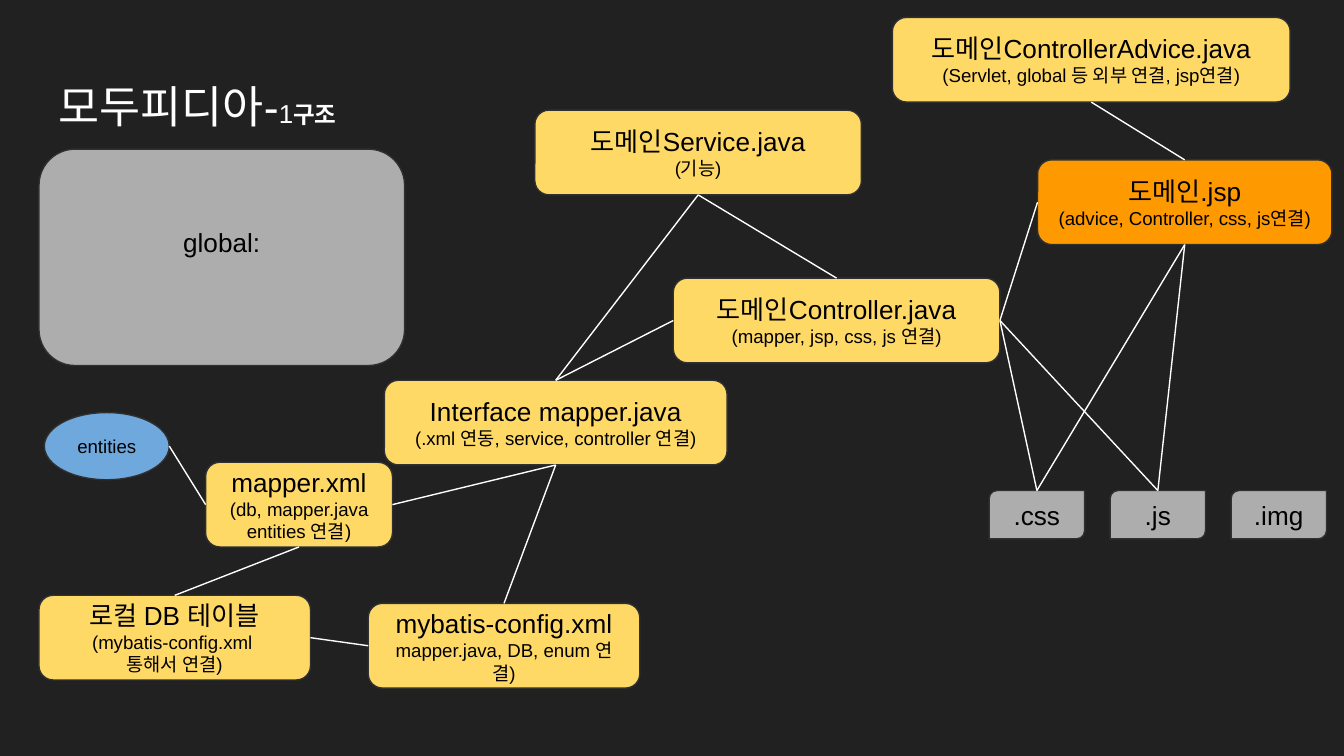
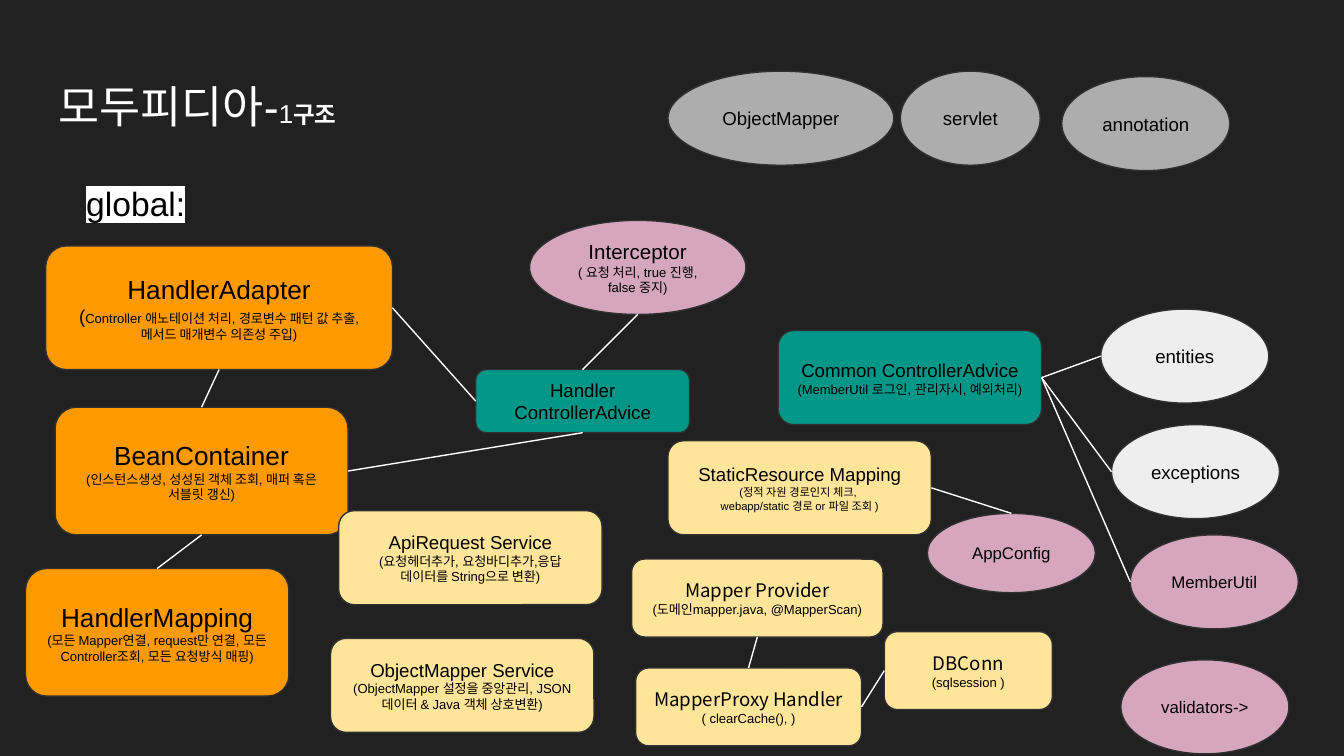
from dataclasses import dataclass
from lxml.etree import SubElement as Sub
from pptx import Presentation as Deck
from pptx.dml.color import RGBColor as RGB
from pptx.enum.shapes import MSO_CONNECTOR as Wire, MSO_SHAPE as Form
from pptx.enum.text import MSO_ANCHOR as Anchor, PP_ALIGN as Align
from pptx.oxml.ns import qn
from pptx.util import Inches, Pt

TOP, LEFT, BOTTOM, RIGHT = range(4)


@dataclass(frozen=True)
class Theme:
    """Hold the colours, fonts and type sizes of both slides."""
    back: str = "212121"
    ink: str = "000000"
    light: str = "FFFFFF"
    edge: str = "303030"
    gold: str = "FFD966"
    cream: str = "FFE599"
    orange: str = "FF9900"
    teal: str = "009688"
    grey: str = "ADADAD"
    pale: str = "EEEEEE"
    pink: str = "D5A6BD"
    blue: str = "6FA8DC"
    font: str = "Arial"
    cjk: str = "Noto Sans CJK KR"
    title: float = 23.9
    count: float = 13.9
    suffix: float = 12.6
    lead: float = 18
    head: float = 14
    mid: float = 11
    body: float = 10
    minor: float = 9
    note: float = 7
    tiny: float = 6
    rule: float = 0.75


T = Theme()


def write(frame, paras, align=Align.CENTER, anchor=Anchor.MIDDLE,
          color=T.ink, mark=None, side=0.1, foot=0.1):
    """Fill a text frame with paragraphs of (text, size, font, bold) runs."""
    frame.word_wrap = True
    frame.vertical_anchor = anchor
    frame.margin_left = frame.margin_right = Inches(side)
    frame.margin_top, frame.margin_bottom = Inches(0.1), Inches(foot)
    for num, runs in enumerate(paras):
        para = frame.add_paragraph() if num else frame.paragraphs[0]
        para.alignment = align
        for text, size, *more in runs:
            run = para.add_run()
            run.text = text
            font = run.font
            font.size = Pt(size)
            font.color.rgb = RGB.from_string(color)
            if mark:
                glow = Sub(run._r.get_or_add_rPr(), qn("a:highlight"))
                Sub(glow, qn("a:srgbClr")).set("val", mark)
            font.name = more[0] if more else T.font
            if more[1:]:
                font.bold = more[1]


def place(box, x, y, w, h):
    """Turn a place inside a box into lengths on the slide."""
    return [Inches(v) for v in (box[0] + x, box[1] + y, w, h)]


def node(shapes, box, spot, form, fill, paras, **look):
    """Draw one filled and outlined shape with its text."""
    shape = shapes.add_shape(form, *place(box, *spot))
    shape.shadow.inherit = False
    shape.fill.solid()
    shape.fill.fore_color.rgb = RGB.from_string(fill)
    shape.line.color.rgb = RGB.from_string(T.edge)
    shape.line.width = Pt(T.rule)
    write(shape.text_frame, paras, **look)
    return shape


def card(shapes, box, spot, fill, head, *notes, size=T.head, small=T.body,
         font=T.font, **look):
    """Draw a rounded card with a heading and smaller notes."""
    paras = [[(head, size, font)]] + [
        note if isinstance(note, list) else [(note, small)] for note in notes]
    return node(shapes, box, spot, Form.ROUNDED_RECTANGLE, fill, paras, **look)


def oval(shapes, box, spot, fill, text, *notes, size=T.body, form=Form.OVAL):
    """Draw an ellipse with a label and small notes."""
    paras = [[(text, size)]] + [[(note, T.note)] for note in notes]
    return node(shapes, box, spot, form, fill, paras)


def point(shape, side):
    """Find the middle of one side of a shape."""
    x = shape.left + (1, 0, 1, 2)[side] * shape.width // 2
    y = shape.top + (0, 1, 2, 1)[side] * shape.height // 2
    return x, y


def link(shapes, start, out, end, into):
    """Draw a straight line between the sides of two shapes."""
    line = shapes.add_connector(Wire.STRAIGHT, *point(start, out), *point(end, into))
    line.line.color.rgb = RGB.from_string(T.light)
    line.line.width = Pt(T.rule)
    Sub(line._element.spPr, qn("a:effectLst"))
    for shape, side, join in ((start, out, line.begin_connect),
                              (end, into, line.end_connect)):
        if shape.auto_shape_type == Form.ROUNDED_RECTANGLE:
            join(shape, side)


def wire(shapes, parts, links):
    """Draw every line of a list of named ends."""
    for start, out, end, into in links:
        link(shapes, parts[start], out, parts[end], into)


def label(shapes, box, runs, **look):
    """Place free text in a box."""
    area = shapes.add_textbox(*place((0, 0), *box))
    write(area.text_frame, [runs], anchor=Anchor.TOP, **look)


def page(deck):
    """Add a dark slide with the shared title."""
    slide = deck.slides.add_slide(deck.slide_layouts[6])
    slide.background.fill.solid()
    slide.background.fill.fore_color.rgb = RGB.from_string(T.back)
    label(slide.shapes, (0.34, 0.49, 9.32, 0.63),
          [("모두피디아-", T.title), ("1", T.count), ("구조", T.suffix, T.font, True)],
          align=Align.LEFT, color=T.light)
    return slide.shapes


def tabs(shapes, box):
    """Draw the row of static file types as a group."""
    group = shapes.add_group_shape().shapes
    return {name: node(group, box, (0.9 * num, 0, 0.71, 0.36),
                       Form.ROUND_2_DIAG_RECTANGLE, T.grey, [[(name, T.head)]])
            for num, name in enumerate((".css", ".js", ".img"))}


def domain(shapes, box):
    """Draw the files of one domain and their links."""
    tall = 0.63
    cards = {
        "xml": (1.53, 3.44, 1.39, T.gold, "mapper.xml",
                "(db, mapper.java entities 연결)"),
        "table": (0.29, 4.43, 2.02, T.gold, "로컬 DB 테이블",
                  "(mybatis-config.xml ", "통해서 연결)"),
        "mapper": (2.86, 2.83, 2.55, T.gold, "Interface mapper.java",
                   "(.xml 연동, service, controller 연결)"),
        "jsp": (7.72, 1.19, 2.19, T.orange, "도메인.jsp",
                "(advice, Controller, css, js연결)"),
        "control": (5.01, 2.07, 2.43, T.gold, "도메인Controller.java",
                    "(mapper, jsp, css, js 연결)"),
        "advice": (6.64, 0.13, 2.96, T.gold, "도메인ControllerAdvice.java",
                   "(Servlet, global 등 외부 연결, jsp연결)"),
        "service": (3.98, 0.82, 2.43, T.gold, "도메인Service.java", "(기능)"),
        "config": (2.74, 4.49, 2.02, T.gold, "mybatis-config.xml",
                   "mapper.java, DB, enum 연결)"),
    }
    parts = {key: card(shapes, box, (x, y, w, tall), *rest)
             for key, (x, y, w, *rest) in cards.items()}
    parts.update(tabs(shapes, (box[0] + 7.36, box[1] + 3.65)))
    card(shapes, box, (0.29, 1.11, 2.72, 1.61), T.grey, "global:", foot=0.32)
    parts["entity"] = oval(shapes, box, (0.33, 3.07, 0.93, 0.5), T.blue,
                           "entities", form=Form.FLOWCHART_CONNECTOR)
    wire(shapes, parts, [
        (".css", TOP, "control", RIGHT), (".css", TOP, "jsp", BOTTOM),
        (".js", TOP, "jsp", BOTTOM), (".js", TOP, "control", RIGHT),
        ("control", RIGHT, "jsp", LEFT), ("service", BOTTOM, "control", TOP),
        ("advice", BOTTOM, "jsp", TOP), ("control", LEFT, "mapper", TOP),
        ("service", BOTTOM, "mapper", TOP), ("mapper", BOTTOM, "xml", RIGHT),
        ("xml", LEFT, "entity", RIGHT), ("table", TOP, "xml", BOTTOM),
        ("table", RIGHT, "config", LEFT), ("config", TOP, "mapper", BOTTOM),
    ])


def common(shapes, box):
    """Draw the parts of the global package and their links."""
    label(shapes, (box[0] + 0.34, box[1] + 1.26, 1.34, 0.47),
          [("global:", T.lead)], mark=T.light)
    cores = {
        "bean": ((0.41, 3.03, 2.18, 0.95), "BeanContainer",
                 "(인스턴스생성, 성성된 객체 조회, 매퍼 혹은 서블릿 갱신)"),
        "adapter": ((0.34, 1.83, 2.58, 0.92), "HandlerAdapter",
                    [("(", T.body), ("Controller 애노테이션 처리, 경로변수 패턴 값 추출, "
                                     "메서드 매개변수 의존성 주입)", T.note)]),
        "mapping": ((0.19, 4.23, 1.96, 0.95), "HandlerMapping",
                    "(모든 Mapper연결, request만 연결, 모든 Controller조회, "
                    "모든 요청방식 매핑)"),
    }
    cards = {
        "handler": ((3.54, 2.75, 1.59, 0.47), T.teal, "Handler ControllerAdvice"),
        "advice": ((5.79, 2.46, 1.96, 0.7), T.teal, "Common ControllerAdvice",
                   "(MemberUtil 로그인, 관리자시, 예외처리)"),
        "api": ((2.52, 3.8, 1.96, 0.7), T.cream, "ApiRequest Service",
                "(요청헤더추가, 요청바디추가,응답 데이터를 String으로 변환)"),
    }
    stores = {
        "maker": ((4.7, 4.16, 1.87, 0.58), "Mapper Provider",
                  "(도메인mapper.java, @MapperScan)"),
        "proxy": ((4.73, 4.97, 1.68, 0.58), "MapperProxy Handler", "( clearCache(), )"),
        "conn": ((6.58, 4.7, 1.25, 0.58), "DBConn", "(sqlsession )"),
    }
    parts = {key: card(shapes, box, spot, T.orange, *text, small=T.note)
             for key, (spot, *text) in cores.items()}
    parts |= {key: card(shapes, box, *rest, size=T.body, small=T.note)
              for key, rest in cards.items()}
    card(shapes, box, (2.46, 4.75, 1.96, 0.7), T.cream, "ObjectMapper Service",
         "(ObjectMapper 설정을 중앙관리, JSON 데이터 & Java 객체 상호변환)",
         size=T.body, small=T.note, side=0.13)
    parts["static"] = card(shapes, box, (4.97, 3.28, 1.96, 0.7), T.cream,
                           "StaticResource Mapping", "(정적 자원 경로인지 체크, ",
                           "webapp/static 경로 or 파일 조회 )",
                           size=T.body, small=T.tiny)
    parts |= {key: card(shapes, box, spot, T.cream, *text, size=T.body,
                        small=T.note, font=T.cjk)
              for key, (spot, *text) in stores.items()}
    for x, y, w, text in ((6.7, 0.53, 1.04, "servlet"), (7.9, 0.57, 1.25, "annotation"),
                          (4.97, 0.53, 1.68, "ObjectMapper")):
        oval(shapes, box, (x, y, w, 0.7), T.grey, text)
    for x, y, h, fill, text, size in (
            (8.19, 2.3, 0.7, T.pale, "entities", T.body),
            (8.27, 3.16, 0.7, T.pale, "exceptions", T.body),
            (8.41, 3.98, 0.7, T.pink, "MemberUtil", T.minor),
            (8.34, 4.91, 0.7, T.pink, "validators->", T.minor),
            (6.9, 3.82, 0.59, T.pink, "AppConfig", T.minor)):
        parts[text] = oval(shapes, box, (x, y, 1.25, h), fill, text, size=size)
    parts["filter"] = oval(shapes, box, (3.94, 1.64, 1.61, 0.7), T.pink, "Interceptor",
                           "( 요청 처리, true 진행, false 중지)", size=T.mid)
    wire(shapes, parts, [
        ("bean", BOTTOM, "mapping", TOP), ("adapter", BOTTOM, "bean", TOP),
        ("adapter", RIGHT, "handler", LEFT), ("advice", RIGHT, "entities", LEFT),
        ("advice", RIGHT, "exceptions", LEFT), ("MemberUtil", LEFT, "advice", RIGHT),
        ("handler", BOTTOM, "bean", RIGHT), ("handler", TOP, "filter", BOTTOM),
        ("static", RIGHT, "AppConfig", TOP), ("maker", BOTTOM, "proxy", TOP),
        ("proxy", RIGHT, "conn", LEFT),
    ])


def main():
    """Build both slides in 16:9 and save the deck."""
    deck = Deck()
    deck.slide_width = Inches(10)
    deck.slide_height = Inches(10) * 9 // 16
    for draw in (domain, common):
        draw(page(deck), (0, 0))
    deck.save("out.pptx")


if __name__ == "__main__":
    main()
